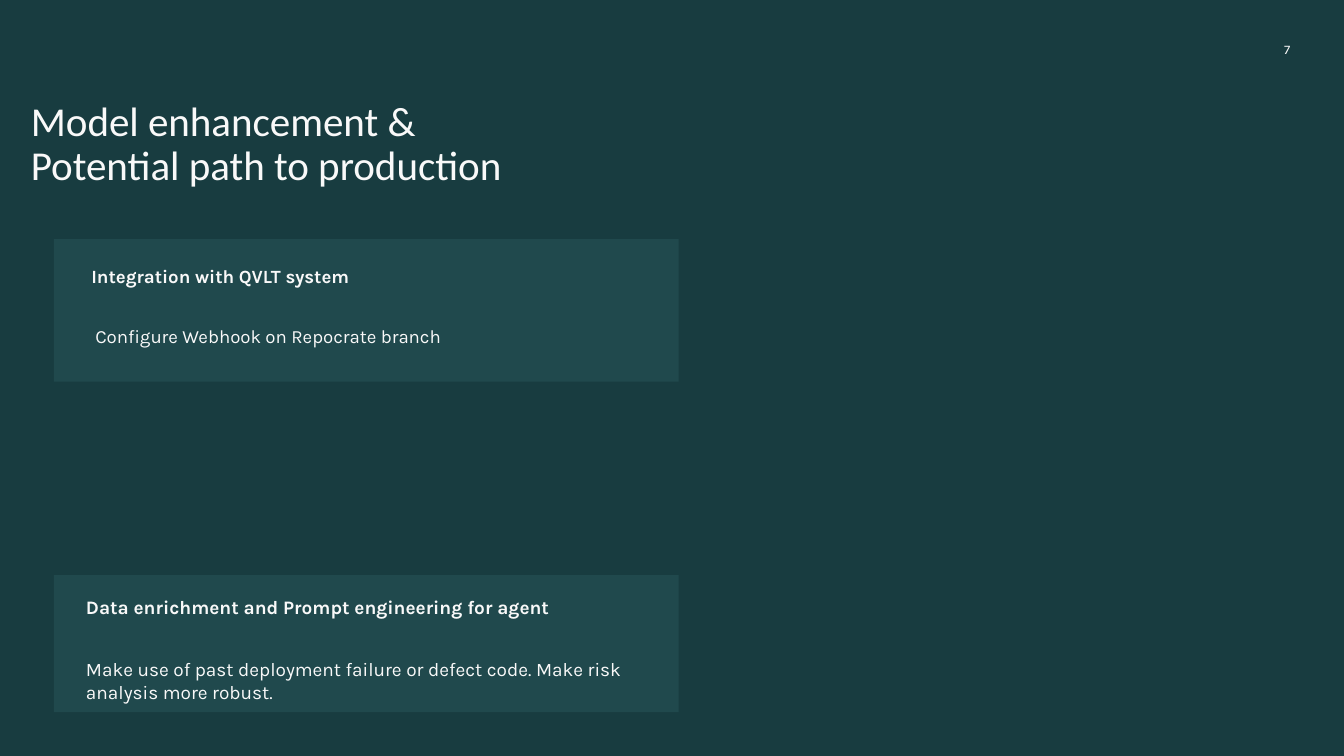
from dataclasses import dataclass

from pptx import Presentation
from pptx import util as u
from pptx.dml.color import RGBColor
from pptx.enum import shapes, text


@dataclass(frozen=True)
class Theme:
    """Colours, fonts and type sizes of the slide."""
    back: str = "183C40"
    panel: str = "20494D"
    ink: str = "F9F9F9"
    title_font: str = "Calibri"
    body_font: str = "Karla"
    title: float = 22
    body: float = 10
    body_large: float = 10.2
    number: float = 7


class Deck:
    """Holds the theme and the current slide, and draws its elements."""

    def __init__(self, prs, theme):
        self.theme = theme
        self.s = prs.slides.add_slide(prs.slide_layouts[6])
        fill = self.s.background.fill
        fill.solid()
        fill.fore_color.rgb = RGBColor.from_string(theme.back)

    def panel(self, *box):
        """Draw a flat rectangle."""
        sp = self.s.shapes.add_shape(shapes.MSO_SHAPE.RECTANGLE, *map(u.Inches, box))
        sp.shadow.inherit = False
        sp.fill.solid()
        sp.fill.fore_color.rgb = RGBColor.from_string(self.theme.panel)
        sp.line.fill.background()

    def text(self, box, lines, size, font=None, bold=False, inset=(0, 0),
             anchor=text.MSO_ANCHOR.TOP, **paragraph):
        """Draw a text box with one paragraph per line."""
        tf = self.s.shapes.add_textbox(*map(u.Inches, box)).text_frame
        side, end = map(u.Inches, inset)
        frame = dict(word_wrap=True, vertical_anchor=anchor, margin_left=side,
                     margin_right=side, margin_top=end, margin_bottom=end)
        for name, value in frame.items():
            setattr(tf, name, value)
        for i, line in enumerate(lines):
            p = tf.add_paragraph() if i else tf.paragraphs[0]
            for name, value in paragraph.items():
                setattr(p, name, value)
            r = p.add_run()
            r.text = line
            style = dict(name=font or self.theme.body_font, size=u.Pt(size), bold=bold)
            for name, value in style.items():
                setattr(r.font, name, value)
            r.font.color.rgb = RGBColor.from_string(self.theme.ink)


def main():
    """Build and save the slide."""
    prs = Presentation()
    prs.slide_width, prs.slide_height = u.Inches(10), u.Inches(10 * 9 / 16)
    theme = Theme()
    deck = Deck(prs, theme)

    deck.panel(0.4, 1.78, 4.65, 1.06)
    deck.panel(0.4, 4.28, 4.65, 1.02)
    deck.text((9, 0.24, 0.6, 0.26), ["7"], theme.number, inset=(0, 0.1),
              anchor=text.MSO_ANCHOR.MIDDLE, alignment=text.PP_ALIGN.RIGHT)
    deck.text((0.23, 0.75, 5.45, 0.64),
              ["Model enhancement &", "Potential path to production"],
              theme.title, font=theme.title_font, line_spacing=0.9)

    deck.text((0.68, 1.97, 6.51, 0.14), ["Integration with QVLT system"],
              theme.body, bold=True, line_spacing=1.0)
    deck.text((0.71, 2.42, 4.24, 0.5), ["Configure Webhook on Repocrate branch"],
              theme.body, space_after=u.Pt(8))

    padded = dict(size=theme.body_large, inset=(0.08, 0.08), line_spacing=1.0)
    deck.text((0.56, 4.35, 4.42, 0.3),
              ["Data enrichment and Prompt engineering for agent"], bold=True, **padded)
    deck.text((0.56, 4.81, 4.42, 0.37),
              ["Make use of past deployment failure or defect code. "
               "Make risk analysis more robust."], space_after=u.Pt(6.5), **padded)
    prs.save("out.pptx")


if __name__ == "__main__":
    main()
